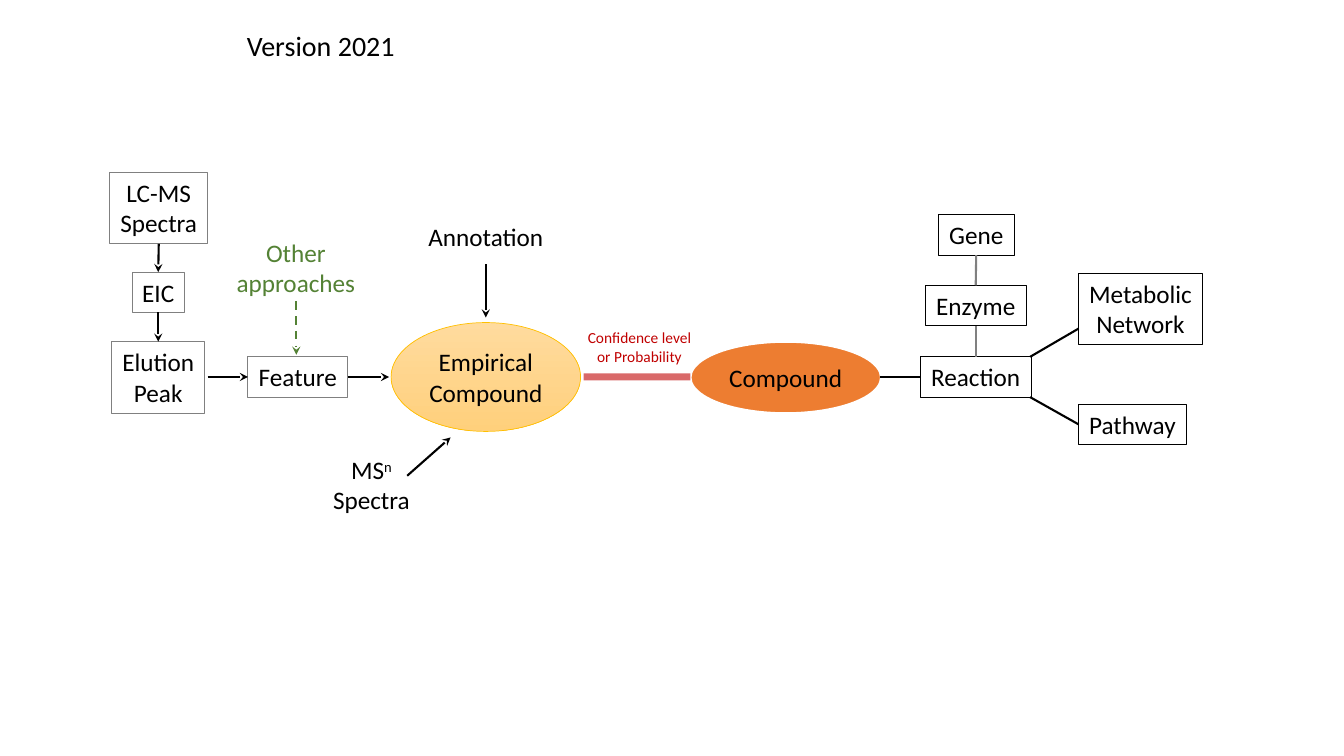
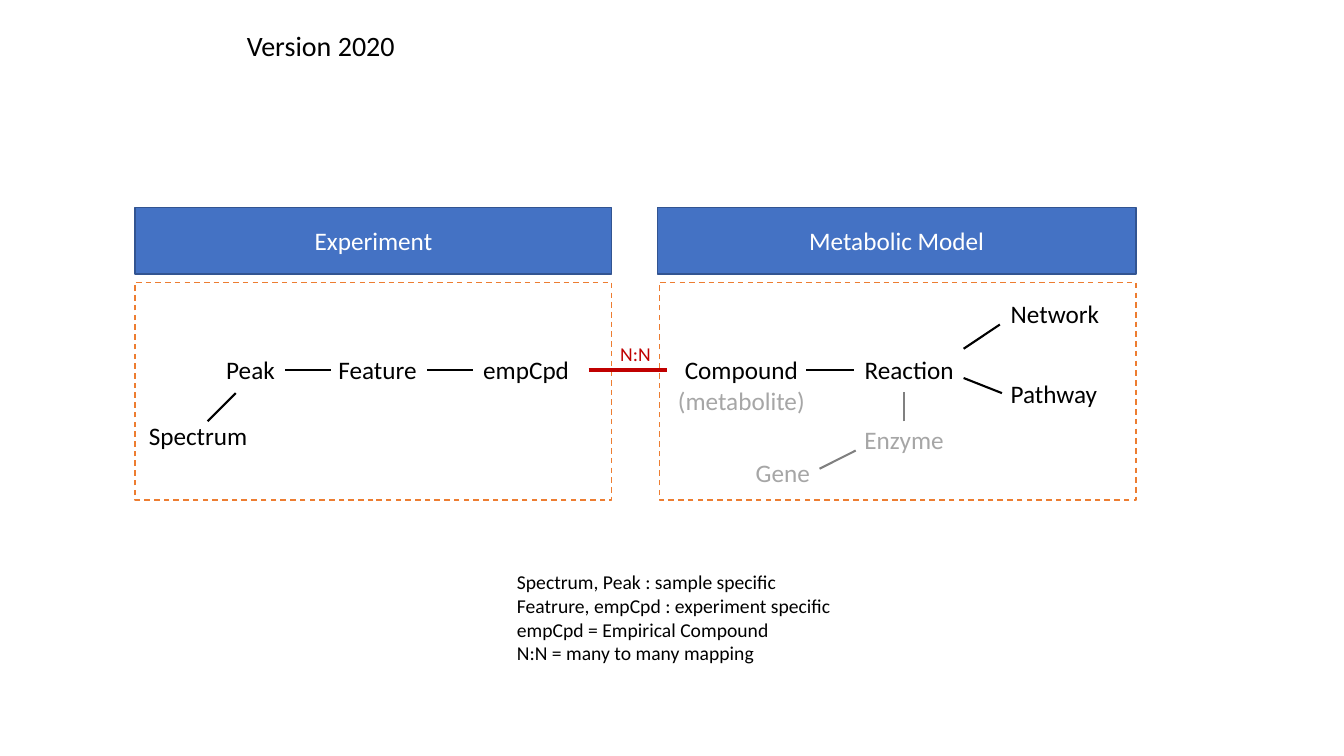
from dataclasses import dataclass
from functools import partial

from lxml import etree
from pptx import Presentation
from pptx import util as u
from pptx.dml.color import RGBColor
from pptx.enum import dml, shapes, text
from pptx.oxml.ns import qn

PX = 9144
FONT = "Calibri"
COLORS = {
    "black": "000000",
    "white": "FFFFFF",
    "gray": "808080",
    "pale": "A6A6A6",
    "red": "C00000",
    "green": "548235",
    "orange": "ED7D31",
    "gold": "FFC000",
    "cream": "FFDB9E",
    "honey": "FFD07C",
    "blue": "4472C4",
    "navy": "325491",
}
TOP, LEFT, BOTTOM, RIGHT = range(4)
RECTANGLE = shapes.MSO_SHAPE.RECTANGLE
OVAL = shapes.MSO_SHAPE.OVAL


@dataclass(frozen=True)
class Node:
    text: str
    x: int
    y: int
    width: int
    height: int = 40
    kind: shapes.MSO_SHAPE | None = None
    fill: tuple[str, ...] = ()
    line: str = "black"
    line_width: float = 0.5
    dashed: bool = False
    size: int = 18
    color: str = "black"
    second_color: str = ""
    centered: bool = True
    wrap: bool = False
    anchor: text.MSO_ANCHOR = text.MSO_ANCHOR.TOP


@dataclass(frozen=True)
class Joint:
    node: str
    side: int


End = Joint | tuple[int, int]


@dataclass(frozen=True)
class Link:
    start: End
    end: End
    color: str = "black"
    width: float = 1.5
    arrow: bool = False
    dashed: bool = False
    opacity: int = 100


Box = partial(Node, kind=RECTANGLE)
GrayBox = partial(Box, line="gray", line_width=0.75)
Solid = partial(Node, anchor=text.MSO_ANCHOR.MIDDLE, wrap=True)
Ellipse = partial(Solid, kind=OVAL)
Banner = partial(Solid, y=206, height=66, kind=RECTANGLE, fill=("blue",),
                 line="navy", line_width=1, color="white")
Frame = partial(Solid, "", y=280, width=473, height=216, kind=RECTANGLE,
                line="orange", line_width=1, dashed=True)
Arrow = partial(Link, arrow=True)


def rgb(name: str) -> RGBColor:
    return RGBColor.from_string(COLORS[name])


def write(frame, content: str, *, size: int, color: str, second_color: str = "",
          centered: bool = True) -> None:
    for index, row in enumerate(content.split("\n")):
        paragraph = frame.paragraphs[0] if index == 0 else frame.add_paragraph()
        paragraph.alignment = text.PP_ALIGN.CENTER if centered else text.PP_ALIGN.LEFT
        for order, part in enumerate(row.split("^")):
            run = paragraph.add_run()
            run.text = part
            run.font.name = FONT
            run.font.size = u.Pt(size)
            run.font.color.rgb = rgb(second_color if index and second_color else color)
            if order:
                run.font._element.set("baseline", "30000")


def paint(shape, node: Node) -> None:
    shape.shadow.inherit = False
    if len(node.fill) == 2:
        shape.fill.gradient()
        shape.fill.gradient_angle = 270
        for stop, name in zip(shape.fill.gradient_stops, node.fill):
            stop.color.rgb = rgb(name)
    elif node.fill:
        shape.fill.solid()
        shape.fill.fore_color.rgb = rgb(node.fill[0])
    else:
        shape.fill.background()
    shape.line.color.rgb = rgb(node.line)
    shape.line.width = u.Pt(node.line_width)
    if node.dashed:
        shape.line.dash_style = dml.MSO_LINE.DASH


def draw_node(slide, node: Node):
    place = [value * PX for value in (node.x, node.y, node.width, node.height)]
    if node.kind is None:
        shape = slide.shapes.add_textbox(*place)
    else:
        shape = slide.shapes.add_shape(node.kind, *place)
        paint(shape, node)
    if node.text:
        frame = shape.text_frame
        frame.word_wrap = node.wrap
        frame.vertical_anchor = node.anchor
        if node.anchor == text.MSO_ANCHOR.TOP:
            frame.auto_size = text.MSO_AUTO_SIZE.SHAPE_TO_FIT_TEXT
        write(frame, node.text, size=node.size, color=node.color,
              second_color=node.second_color, centered=node.centered)
    return shape


def locate(end: End, drawn: dict) -> tuple[int, int]:
    if not isinstance(end, Joint):
        return end[0] * PX, end[1] * PX
    shape = drawn[end.node]
    across = {LEFT: 0, RIGHT: shape.width}.get(end.side, shape.width // 2)
    down = {TOP: 0, BOTTOM: shape.height}.get(end.side, shape.height // 2)
    return shape.left + across, shape.top + down


def draw_link(slide, link: Link, drawn: dict) -> None:
    connector = slide.shapes.add_connector(
        shapes.MSO_CONNECTOR.STRAIGHT, *locate(link.start, drawn), *locate(link.end, drawn))
    if isinstance(link.start, Joint):
        connector.begin_connect(drawn[link.start.node], link.start.side)
    if isinstance(link.end, Joint):
        connector.end_connect(drawn[link.end.node], link.end.side)
    connector.line.color.rgb = rgb(link.color)
    connector.line.width = u.Pt(link.width)
    if link.dashed:
        connector.line.dash_style = dml.MSO_LINE.DASH
    properties = connector.element.spPr
    outline = properties.find(qn("a:ln"))
    if link.opacity < 100:
        tint = outline.find(".//" + qn("a:srgbClr"))
        etree.SubElement(tint, qn("a:alpha"), val=str(link.opacity * 1000))
    if link.arrow:
        etree.SubElement(outline, qn("a:tailEnd"), type="stealth")
    etree.SubElement(properties, qn("a:effectLst"))


def draw_slide(presentation, title: str, nodes: list[Node], links: list[Link]) -> None:
    slide = presentation.slides.add_slide(presentation.slide_layouts[6])
    draw_node(slide, Node(title, 235, 23, 168, 44, size=20, centered=False))
    drawn = {}
    for node in nodes:
        shape = draw_node(slide, node)
        if node.text:
            drawn[node.text.split()[0]] = shape
    for link in links:
        draw_link(slide, link, drawn)


NODES_2021 = [
    GrayBox("LC-MS\nSpectra", 109, 171, 97, 71),
    GrayBox("EIC", 131, 270, 52),
    GrayBox("Elution\nPeak", 111, 339, 92, 71),
    GrayBox("Feature", 246, 354, 99),
    Node("Other\napproaches", 224, 230, 139, 71, color="green"),
    Node("Annotation", 414, 215, 136),
    Node("MS^n\nSpectra", 320, 446, 97, 71),
    Ellipse("Empirical\nCompound", 388, 320, 188, 108, fill=("cream", "honey"), line="gold"),
    Node("Confidence level\nor Probability", 571, 321, 127, 47, size=11, color="red"),
    Ellipse("Compound", 685, 339, 189, 71, fill=("orange",), line="white", line_width=1.5),
    Box("Gene", 931, 213, 75),
    Box("Enzyme", 918, 283, 100),
    Box("Reaction", 913, 354, 110),
    Box("Metabolic\nNetwork", 1070, 271, 123, 71),
    Box("Pathway", 1070, 401, 107),
]
LINKS_2021 = [
    Arrow(Joint("LC-MS", BOTTOM), Joint("EIC", TOP)),
    Arrow(Joint("EIC", BOTTOM), Joint("Elution", TOP)),
    Arrow((206, 374), Joint("Feature", LEFT)),
    Arrow(Joint("Feature", RIGHT), (386, 374)),
    Arrow((294, 299), (294, 352), color="green", dashed=True),
    Arrow((482, 262), (482, 315)),
    Arrow((404, 472), (447, 434)),
    Link((579, 374), (685, 374), color="red", width=5, opacity=58),
    Link((873, 374), Joint("Reaction", LEFT)),
    Link((1022, 354), (1070, 326)),
    Link((1022, 394), Joint("Pathway", LEFT)),
    Link(Joint("Enzyme", TOP), Joint("Gene", BOTTOM), color="gray"),
    Link(Joint("Reaction", TOP), Joint("Enzyme", BOTTOM), color="gray"),
]

NOTES = "\n".join([
    "Spectrum, Peak : sample specific",
    "Featrure, empCpd : experiment specific",
    "empCpd = Empirical Compound",
    "N:N = many to many mapping",
])
NODES_2020 = [
    Banner("Experiment", x=134, width=473),
    Banner("Metabolic Model", x=652, width=475),
    Frame(x=134),
    Frame(x=654),
    Node("Peak", 214, 347, 69),
    Node("Feature", 325, 347, 99),
    Node("empCpd", 469, 347, 106),
    Node("Spectrum", 137, 412, 119),
    Node("Compound\n(metabolite)", 662, 347, 147, 71, second_color="pale"),
    Node("Reaction", 847, 347, 110),
    Node("Network", 992, 291, 109),
    Node("Pathway", 992, 370, 107),
    Node("Enzyme", 847, 416, 100, color="pale"),
    Node("Gene", 739, 449, 75, color="pale"),
    Node("N:N", 605, 334, 51, 34, size=14, color="red"),
    Node(NOTES, 503, 561, 482, 104, size=14, centered=False, wrap=True),
]
LINKS_2020 = [
    Link((206, 418), (234, 390)),
    Link(Joint("Peak", RIGHT), (328, 367)),
    Link(Joint("Feature", RIGHT), Joint("empCpd", LEFT)),
    Link((584, 367), (662, 367), color="red", width=2.75),
    Link((800, 367), Joint("Reaction", LEFT)),
    Link((956, 346), (992, 322)),
    Link((956, 375), (994, 390)),
    Link((897, 418), (897, 389), color="gray"),
    Link((813, 465), (849, 447), color="gray"),
]


def main() -> None:
    presentation = Presentation()
    presentation.slide_width = u.Emu(12192000)
    presentation.slide_height = u.Emu(750 * PX)
    draw_slide(presentation, "Version 2021", NODES_2021, LINKS_2021)
    draw_slide(presentation, "Version 2020", NODES_2020, LINKS_2020)
    presentation.save("out.pptx")


if __name__ == "__main__":
    main()
